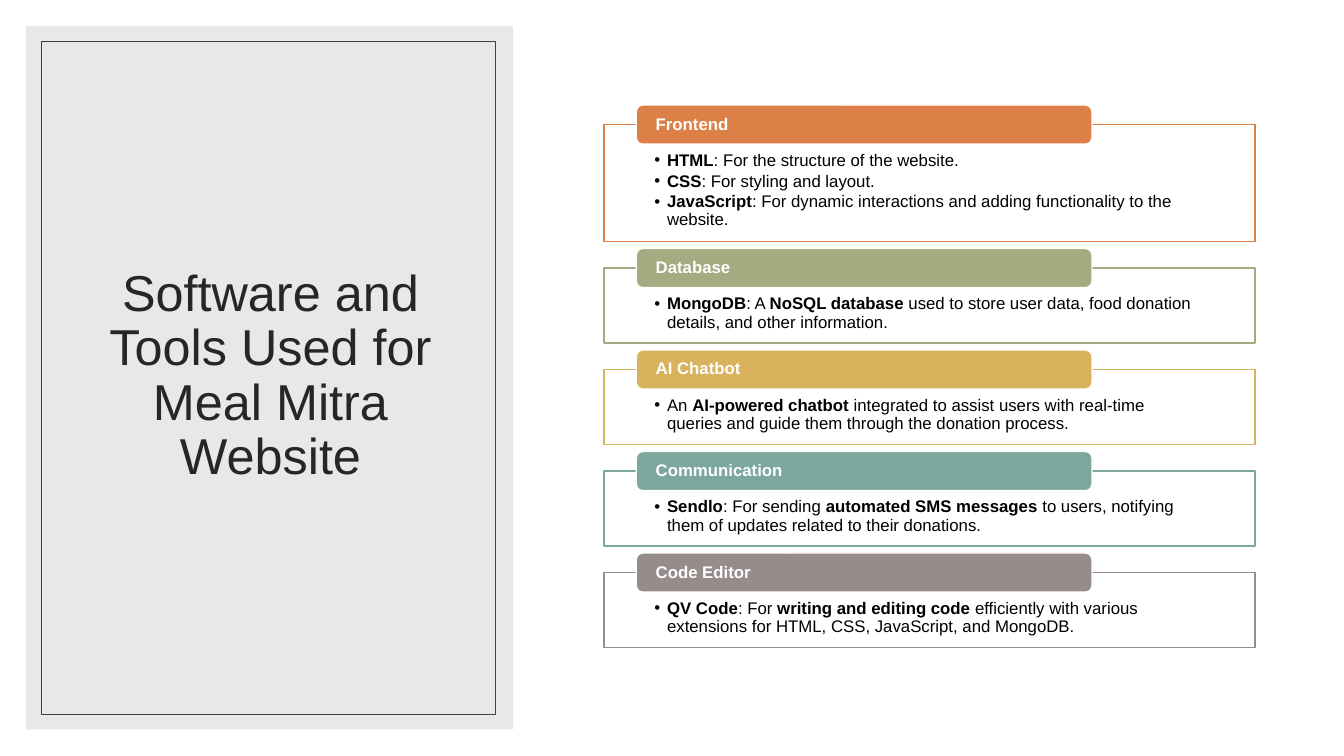
from lxml import etree
from pptx import Presentation
from pptx.dml.color import RGBColor
from pptx.enum.shapes import MSO_SHAPE
from pptx.enum.text import MSO_ANCHOR, MSO_AUTO_SIZE, PP_ALIGN
from pptx.oxml.ns import qn
from pptx.util import Emu, Pt

PX = 6350  # 144 px to the inch
SLIDE_WIDTH, SLIDE_HEIGHT = 1920, 1080
RECT, ROUNDED = MSO_SHAPE.RECTANGLE, MSO_SHAPE.ROUNDED_RECTANGLE
MIDDLE, TOP = MSO_ANCHOR.MIDDLE, MSO_ANCHOR.TOP
LEFT, CENTER = PP_ALIGN.LEFT, PP_ALIGN.CENTER
COLORS = {
    "white": "FFFFFF", "black": "000000", "title": "262626",
    "panel": "D9D9D9", "frame": "404040",
    "orange": "DD8047", "green": "A5AB81", "gold": "D8B25C",
    "teal": "7BA79D", "taupe": "968C8C",
}

# Heading, colour, body height and bullets; text between asterisks is bold.
SECTIONS = [
    ("Frontend", "orange", 167, [
        "*HTML*: For the structure of the website.",
        "*CSS*: For styling and layout.",
        "*JavaScript*: For dynamic interactions and adding functionality to the website.",
    ]),
    ("Database", "green", 107, [
        "*MongoDB*: A *NoSQL database* used to store user data, food donation "
        "details, and other information.",
    ]),
    ("AI Chatbot", "gold", 107, [
        "An *AI-powered chatbot* integrated to assist users with real-time "
        "queries and guide them through the donation process.",
    ]),
    ("Communication", "teal", 107, [
        "*Sendlo*: For sending *automated SMS messages* to users, notifying "
        "them of updates related to their donations.",
    ]),
    ("Code Editor", "taupe", 107, [
        "*QV Code*: For *writing and editing code* efficiently with various "
        "extensions for HTML, CSS, JavaScript, and MongoDB.",
    ]),
]
BODY_LEFT, BODY_WIDTH, FIRST_TOP, GAP = 863, 930, 178, 38
TAB_LEFT, TAB_WIDTH, TAB_HEIGHT = 909, 651, 56
BULLET_INDENT = 18

prs = Presentation()
prs.slide_width, prs.slide_height = Emu(SLIDE_WIDTH * PX), Emu(SLIDE_HEIGHT * PX)
slide = prs.slides.add_slide(prs.slide_layouts[5])


def add_block(kind, box, fill=None, line=None, width=1, opacity=100, insets=(0, 0, 0, 0)):
    """Add a flat preset shape; box and insets are in px, opacity in percent."""
    block = slide.shapes.add_shape(kind, *(Emu(v * PX) for v in box))
    block.shadow.inherit = False
    if fill:
        block.fill.solid()
        block.fill.fore_color.rgb = RGBColor.from_string(COLORS[fill])
        if opacity < 100:
            color = block.element.spPr.find(qn("a:solidFill"))[0]
            etree.SubElement(color, qn("a:alpha"), val=str(opacity * 1000))
    else:
        block.fill.background()
    if line:
        block.line.color.rgb = RGBColor.from_string(COLORS[line])
        block.line.width = Pt(width)
    else:
        block.line.fill.background()
    frame = block.text_frame
    frame.word_wrap = True
    frame.margin_left, frame.margin_top, frame.margin_right, frame.margin_bottom = (
        Emu(v * PX) for v in insets)
    return block


def style_paragraph(paragraph, size, color, align=LEFT):
    paragraph.alignment = align
    paragraph.line_spacing = 0.9
    for run in paragraph.runs:
        run.font.name = "Arial"
        run.font.size = Pt(size)
        run.font.color.rgb = RGBColor.from_string(COLORS[color])


# Title on its framed panel
title = slide.shapes.title
title.left, title.top, title.width, title.height = (
    Emu(v * PX) for v in (90, 88, 593, 900))
title.text_frame.text = "Software and Tools Used for Meal Mitra Website"
title.text_frame.word_wrap = True
title.text_frame.auto_size = MSO_AUTO_SIZE.NONE
title.text_frame.vertical_anchor = MIDDLE
style_paragraph(title.text_frame.paragraphs[0], 36, "title", CENTER)
backdrop = add_block(RECT, (0, 0, SLIDE_WIDTH, SLIDE_HEIGHT), fill="white")
panel = add_block(RECT, (37, 37, 696, 1005), fill="panel", opacity=60)
for layer in (backdrop, panel):
    title.element.addprevious(layer.element)
add_block(RECT, (59, 59, 649, 962), line="frame", width=0.5)

# Stacked sections, each a bordered body with a heading tab
top = FIRST_TOP
for heading, color, height, bullets in SECTIONS:
    body = add_block(RECT, (BODY_LEFT, top, BODY_WIDTH, height), fill="white",
                     line=color, opacity=90, insets=(72, 39, 76, 13))
    body.text_frame.vertical_anchor = TOP
    for i, bullet in enumerate(bullets):
        paragraph = body.text_frame.paragraphs[0] if i == 0 else body.text_frame.add_paragraph()
        properties = paragraph._p.get_or_add_pPr()
        properties.set("marL", str(BULLET_INDENT * PX))
        properties.set("indent", str(-BULLET_INDENT * PX))
        etree.SubElement(properties, qn("a:buFont"), typeface="Arial")
        etree.SubElement(properties, qn("a:buChar"), char="•")
        for j, part in enumerate(bullet.split("*")):
            if part:
                run = paragraph.add_run()
                run.text = part
                run.font.bold = j % 2 == 1
        paragraph.space_after = Pt(1.8)
        style_paragraph(paragraph, 12, "black")

    tab = add_block(ROUNDED, (TAB_LEFT, top - TAB_HEIGHT // 2, TAB_WIDTH, TAB_HEIGHT),
                    fill=color, line="white", insets=(25, 0, 25, 0))
    tab.text_frame.text = heading
    tab.text_frame.vertical_anchor = MIDDLE
    style_paragraph(tab.text_frame.paragraphs[0], 12, "white")
    tab.text_frame.paragraphs[0].runs[0].font.bold = True
    top += height + GAP

prs.save("out.pptx")
